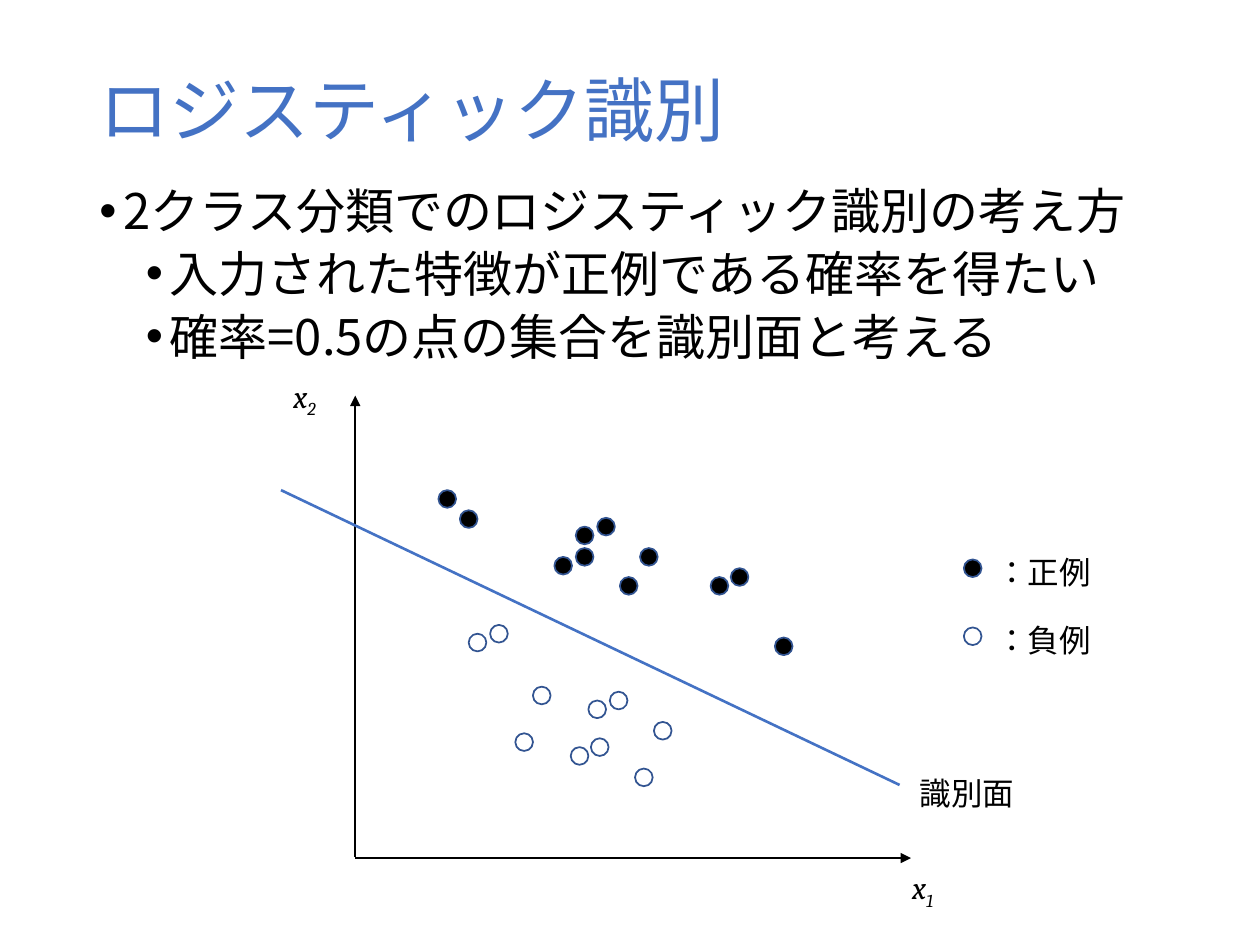
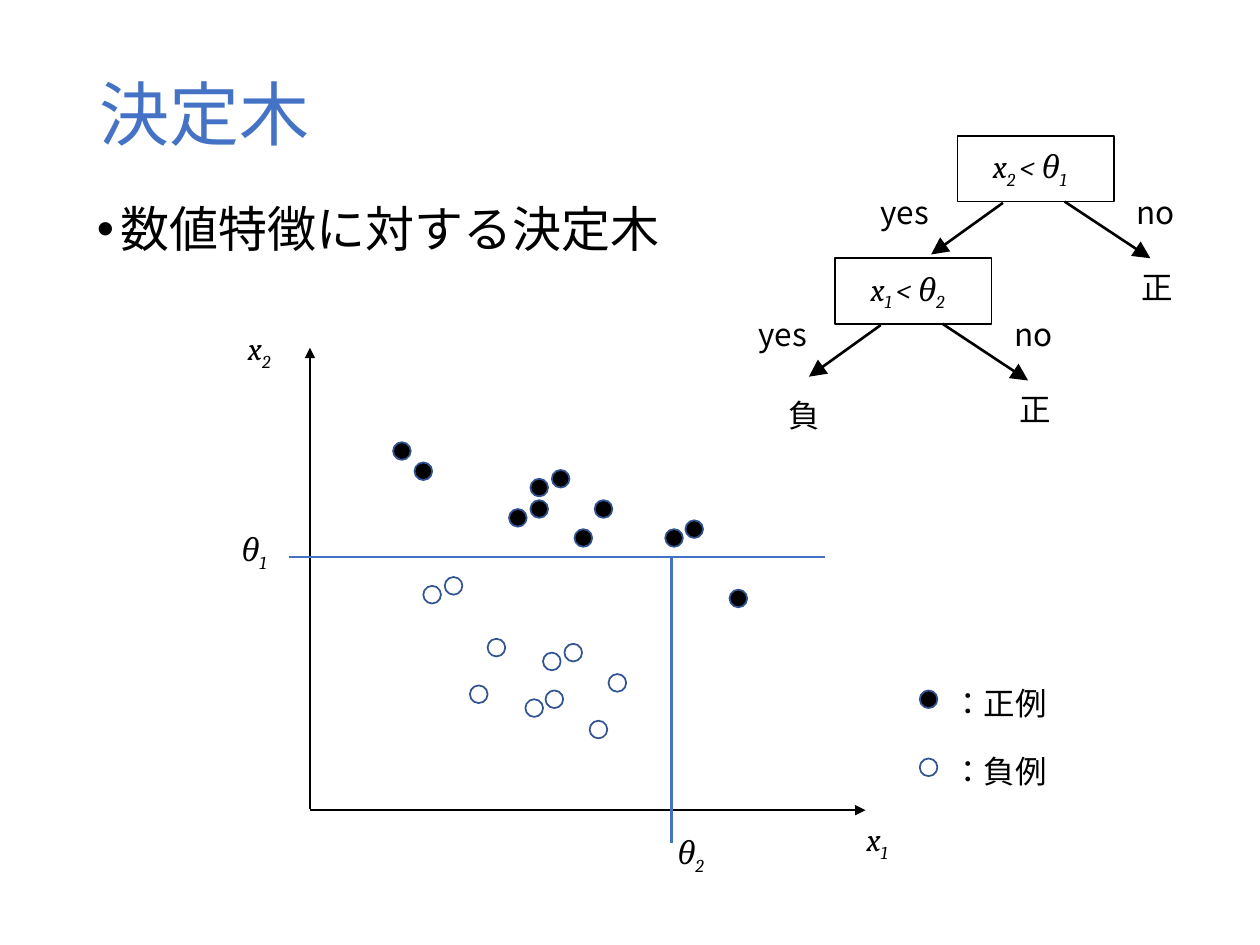
from typing import NamedTuple

from lxml.etree import SubElement
from pptx import Presentation
from pptx.dml.color import RGBColor
from pptx.enum.shapes import MSO_CONNECTOR, MSO_SHAPE
from pptx.enum.text import MSO_ANCHOR, PP_ALIGN
from pptx.oxml.ns import qn
from pptx.util import Inches, Pt

INK = {"title": "4472C4", "text": "000000", "edge": "325491", "split": "4472C4"}
SANS = "Noto Sans CJK JP"
MATH = "Cambria"
DOT = 0.14


class Spot(NamedTuple):
    x: float
    y: float


class Line(NamedTuple):
    start: Spot
    end: Spot


class Item(NamedTuple):
    text: str
    level: int = 0


class Node(NamedTuple):
    spot: Spot
    test: tuple[str, ...]


# Dots are placed right of and above the corner of the axes.
POS = [Spot(*p) for p in (
    (0.66, 2.92), (0.83, 2.76), (1.58, 2.39), (1.75, 2.46), (2.1, 2.23), (1.75, 2.63),
    (1.92, 2.7), (2.26, 2.46), (2.82, 2.23), (2.98, 2.3), (3.33, 1.75))]
NEG = [Spot(*p) for p in (
    (0.9, 1.78), (1.07, 1.85), (1.41, 1.36), (1.85, 1.25), (2.02, 1.32),
    (2.37, 1.08), (1.27, 0.99), (1.71, 0.88), (1.87, 0.95), (2.22, 0.71))]


def color(key: str) -> RGBColor:
    return RGBColor.from_string(INK[key])


def shift(spot: Spot, x: float, y: float) -> Spot:
    return Spot(spot.x + x, spot.y + y)


def write(para, *parts: str, size: float = 18, font: str = SANS,
          ink: str = "text", italic: bool = False) -> None:
    """Add one run per part; a leading underscore makes a subscript."""
    for part in parts:
        run = para.add_run()
        run.text = part.removeprefix("_")
        run.font.size = Pt(size)
        run.font.italic = italic
        run.font.color.rgb = color(ink)
        run.font.name = font
        props = run._r.get_or_add_rPr()
        props.set("lang", "ja-JP")
        SubElement(props, qn("a:ea")).set("typeface", font)
        if part.startswith("_"):
            props.set("baseline", "-25000")


def label(slide, spot: Spot, width: float, *parts: str, **style) -> None:
    box = slide.shapes.add_textbox(Inches(spot.x), Inches(spot.y), Inches(width), Inches(0.4))
    box.text_frame.word_wrap = True
    write(box.text_frame.paragraphs[0], *parts, **style)


def symbol(slide, spot: Spot, *parts: str) -> None:
    label(slide, spot, 0.43, *parts, font=MATH, italic=True)


def head(slide, text: str, height: float) -> None:
    title = slide.shapes.title
    title.left, title.top = Inches(0.69), Inches(0.4)
    title.width, title.height = Inches(8.62), Inches(height)
    title.text_frame.vertical_anchor = MSO_ANCHOR.MIDDLE
    para = title.text_frame.paragraphs[0]
    para.alignment = PP_ALIGN.LEFT
    para.line_spacing = 0.9
    write(para, text, size=40, ink="title")


def bullets(slide, spot: Spot, items: list[Item], pitch: float) -> None:
    box = slide.shapes.add_textbox(Inches(spot.x), Inches(spot.y), Inches(8.85), Inches(5.06))
    frame = box.text_frame
    frame.word_wrap = True
    for i, item in enumerate(items):
        para = frame.add_paragraph() if i else frame.paragraphs[0]
        para.level = item.level
        para.line_spacing = Pt(pitch)
        para.space_before = Pt(3.8 if item.level else 7.5)
        props = para._p.get_or_add_pPr()
        props.set("marL", str(Inches(0.19 + 0.37 * item.level)))
        props.set("indent", str(-Inches(0.19)))
        SubElement(props, qn("a:buFont")).set("typeface", "Arial")
        SubElement(props, qn("a:buChar")).set("char", "•")
        write(para, item.text, size=28)


def link(slide, line: Line, width: float = 1.5, ink: str = "split", tip: str = "") -> None:
    """Draw a straight line; tip is the arrowhead's size, as med or lg."""
    ends = [Inches(v) for spot in line for v in spot]
    wire = slide.shapes.add_connector(MSO_CONNECTOR.STRAIGHT, *ends)
    wire.line.color.rgb = color(ink)
    wire.line.width = Pt(width)
    if tip:
        SubElement(wire.line._get_or_add_ln(), qn("a:tailEnd"), type="triangle", w=tip, len=tip)
    SubElement(wire._element.spPr, qn("a:effectLst"))


def outline(slide, kind, spot: Spot, width: float, height: float, ink: str):
    shape = slide.shapes.add_shape(
        kind, Inches(spot.x), Inches(spot.y), Inches(width), Inches(height))
    shape.shadow.inherit = False
    shape.fill.background()
    shape.line.color.rgb = color(ink)
    shape.line.width = Pt(1)
    return shape


def dot(slide, spot: Spot, full: bool) -> None:
    shape = outline(slide, MSO_SHAPE.OVAL, spot, DOT, DOT, "edge")
    if full:
        shape.fill.solid()
        shape.fill.fore_color.rgb = color("text")


def scatter(slide, base: Spot, key: Spot) -> None:
    """Draw axes from the corner at base, the dots, and the legend at key."""
    for line in (Line(shift(base, 0, -0.01), shift(base, 0, -3.67)),
                 Line(base, shift(base, 4.41, 0))):
        link(slide, line, 1, "text", "med")
    symbol(slide, shift(base, -0.59, -3.87), "x", "_2")
    symbol(slide, shift(base, 4.32, 0.03), "x", "_1")
    for row, (dots, name) in enumerate(((POS, "：正例"), (NEG, "：負例"))):
        full = dots is POS
        for spot in dots:
            dot(slide, shift(base, spot.x, -spot.y), full)
        mark = shift(key, 0, 0.54 * row)
        dot(slide, mark, full)
        label(slide, shift(mark, 0.16, -0.1), 0.96, name)


def branch(slide, node: Node) -> None:
    """Draw a test box with its yes and no arrows and the positive leaf."""
    at = node.spot
    shape = outline(slide, MSO_SHAPE.RECTANGLE, at, 1.24, 0.52, "text")
    frame = shape.text_frame
    frame.margin_left, frame.margin_right = Inches(0.28), 0
    frame.vertical_anchor = MSO_ANCHOR.MIDDLE
    para = frame.paragraphs[0]
    para.alignment = PP_ALIGN.LEFT
    write(para, *node.test, font=MATH, italic=True)
    for line in (Line(shift(at, 0.36, 0.53), shift(at, -0.21, 0.94)),
                 Line(shift(at, 0.85, 0.52), shift(at, 1.53, 0.97))):
        link(slide, line, ink="text", tip="lg")
    label(slide, shift(at, -0.71, 0.4), 0.65, "yes")
    label(slide, shift(at, 1.32, 0.4), 0.65, "no")
    label(slide, shift(at, 1.36, 1), 0.45, "正")


def logit(slide) -> None:
    head(slide, "ロジスティック識別", 1)
    bullets(slide, Spot(0.69, 1.41), [
        Item("2クラス分類でのロジスティック識別の考え方"),
        Item("入力された特徴が正例である確率を得たい", 1),
        Item("確率=0.5の点の集合を識別面と考える", 1),
    ], 32)
    scatter(slide, Spot(2.82, 6.81), Spot(7.65, 4.44))
    link(slide, Line(Spot(2.23, 3.89), Spot(7.14, 6.23)))
    label(slide, Spot(7.2, 6.09), 0.96, "識別面")


def tree(slide) -> None:
    head(slide, "決定木", 1.07)
    bullets(slide, Spot(0.67, 1.44), [Item("数値特徴に対する決定木")], 40)
    scatter(slide, Spot(2.46, 6.43), Spot(7.3, 5.48))
    cross = Spot(5.33, 4.42)
    link(slide, Line(Spot(2.29, cross.y), Spot(6.55, cross.y)))
    link(slide, Line(cross, Spot(cross.x, 6.69)))
    symbol(slide, Spot(1.82, 4.16), "θ", "_1")
    symbol(slide, Spot(5.28, 6.56), "θ", "_2")
    root = Spot(7.6, 1.08)
    child = shift(root, -0.97, 0.97)
    branch(slide, Node(root, ("x", "_2 ", "< θ", "_1")))
    branch(slide, Node(child, ("x", "_1 ", "< θ", "_2")))
    label(slide, shift(child, -0.47, 1.04), 0.45, "負")


def main() -> None:
    deck = Presentation()
    deck.slide_width, deck.slide_height = Inches(10), Inches(7.5)
    for draw in (logit, tree):
        draw(deck.slides.add_slide(deck.slide_layouts[5]))
    deck.save("out.pptx")


if __name__ == "__main__":
    main()
